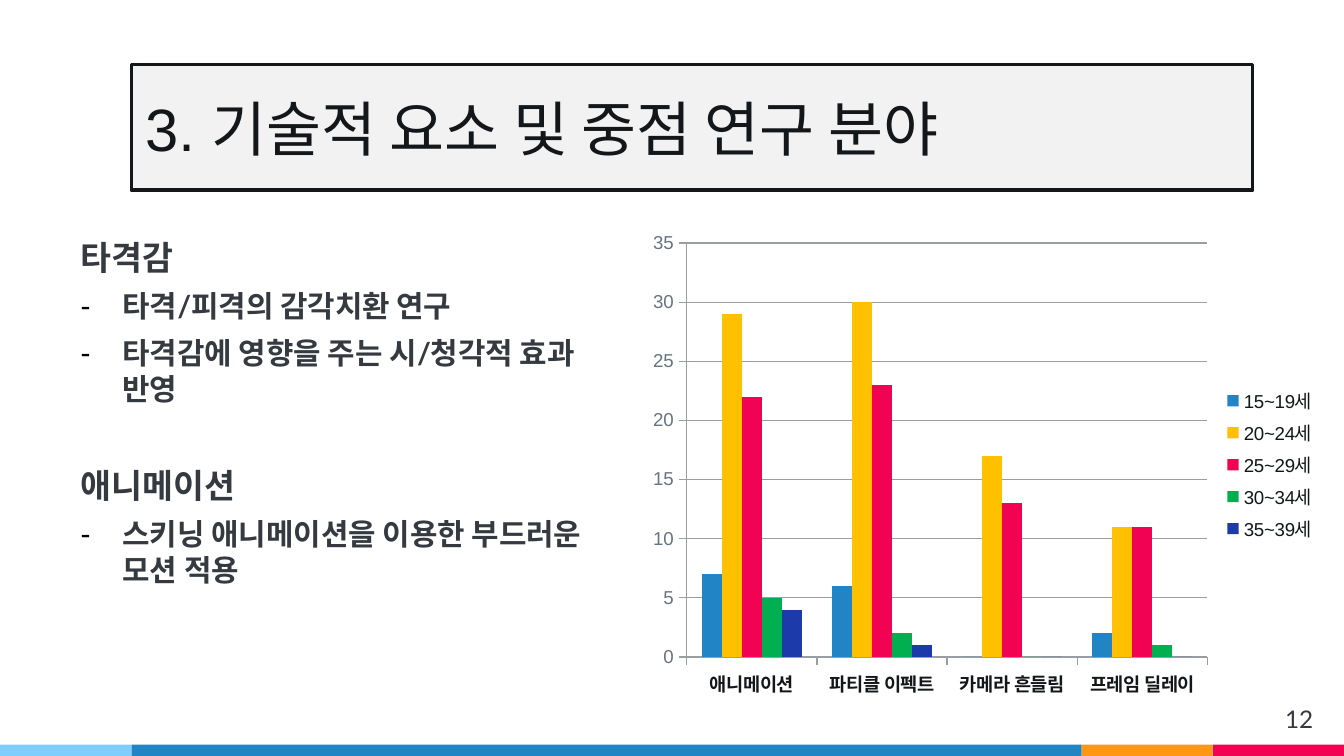
from pptx import Presentation
from pptx.chart.data import CategoryChartData
from pptx.dml.color import RGBColor
from pptx.enum.chart import XL_CHART_TYPE as CT, XL_LEGEND_POSITION as LP, XL_TICK_MARK as TM
from pptx.enum.shapes import MSO_SHAPE
from pptx.enum.text import MSO_ANCHOR, MSO_AUTO_SIZE, PP_ALIGN
from pptx.oxml.ns import qn
from pptx.util import Pt
from lxml.etree import SubElement

W, H = 720, 405
DARK, BODY, MUTED, GRID = "13171A", "343A40", "677480", "9A9EA3"

TITLE = "3. 기술적 요소 및 중점 연구 분야"
SECTIONS = [
    ("타격감", ["타격/피격의 감각치환 연구", "타격감에 영향을 주는 시/청각적 효과 반영"]),
    ("애니메이션", ["스키닝 애니메이션을 이용한 부드러운 모션 적용"]),
]
CATEGORIES = ["애니메이션", "파티클 이펙트", "카메라 흔들림", "프레임 딜레이"]
SERIES = [
    ("15~19세", (7, 6, 0, 2), "2185C5"),
    ("20~24세", (29, 30, 17, 11), "FFC000"),
    ("25~29세", (22, 23, 13, 11), "F20253"),
    ("30~34세", (5, 2, 0, 1), "00B050"),
    ("35~39세", (4, 1, 0, 0), "1C3AA9"),
]
STRIPES = [("7ECEFD", 70.5), ("2185C5", 509), ("FF9715", 70.25), ("F20253", 70.25)]


def rgb(color):
    return RGBColor.from_string(color)


def place(sp, x, y, w, h):
    sp.left, sp.top, sp.width, sp.height = Pt(x), Pt(y), Pt(w), Pt(h)


def set_frame(tf, anchor=MSO_ANCHOR.TOP):
    tf.word_wrap = True
    tf.auto_size = MSO_AUTO_SIZE.NONE
    tf.vertical_anchor = anchor
    tf.margin_left = tf.margin_right = tf.margin_top = tf.margin_bottom = Pt(7.2)


def style(font, size, color, name="Arial", bold=False):
    font.size, font.name, font.bold = Pt(size), name, bold
    font.color.rgb = rgb(color)


def add_run(p, text, size, color, name, bold=False):
    r = p.add_run()
    r.text = text
    style(r.font, size, color, name, bold)


def set_bullet(p, char=None, indent=0):
    """Give the paragraph a hanging bullet, or none when char is missing."""
    pPr = p._p.get_or_add_pPr()
    pPr.set("marL", str(Pt(indent)))
    pPr.set("indent", str(-Pt(indent)))
    if char:
        SubElement(SubElement(pPr, qn("a:buClr")), qn("a:srgbClr"), val="000000")
        SubElement(pPr, qn("a:buChar"), char=char)
    else:
        SubElement(pPr, qn("a:buNone"))


prs = Presentation()
prs.slide_width, prs.slide_height = Pt(W), Pt(H)
s = prs.slides.add_slide(prs.slide_layouts[1])
title, body = s.placeholders

# Stripes along the bottom edge
x = 0
for color, width in STRIPES:
    sp = s.shapes.add_shape(MSO_SHAPE.RECTANGLE, Pt(x), Pt(H - 6), Pt(width), Pt(6))
    sp.shadow.inherit = False
    sp.fill.solid()
    sp.fill.fore_color.rgb = rgb(color)
    sp.line.fill.background()
    x += width

# Title
place(title, 70.5, 34.5, 600.5, 67.5)
title.fill.solid()
title.fill.fore_color.rgb = rgb("F2F2F2")
title.line.color.rgb = rgb(DARK)
title.line.width = Pt(2)
set_frame(title.text_frame, MSO_ANCHOR.MIDDLE)
p = title.text_frame.paragraphs[0]
p.alignment = PP_ALIGN.LEFT
add_run(p, TITLE, 32, DARK, "Arial")

# Headings with their points
place(body, 36, 119.5, 295, 258.5)
tf = body.text_frame
set_frame(tf)
p = tf.paragraphs[0]
for i, (heading, points) in enumerate(SECTIONS):
    if i:
        p = tf.add_paragraph()
    p.space_before = Pt(31 if i else 6)
    set_bullet(p)
    add_run(p, heading, 18, BODY, "Lato", True)
    for point in points:
        p = tf.add_paragraph()
        p.space_before = Pt(6)
        set_bullet(p, "-", 22.5)
        add_run(p, point, 16, BODY, "Lato", True)

# Page number
sp = s.shapes.add_textbox(Pt(667.5), Pt(370), Pt(43), Pt(24.5))
set_frame(sp.text_frame)
p = sp.text_frame.paragraphs[0]
p.alignment = PP_ALIGN.RIGHT
add_run(p, "12", 13, BODY, "Lato")

# Chart
data = CategoryChartData()
data.categories = CATEGORIES
for name, values, _ in SERIES:
    data.add_series(name, values)
chart = s.shapes.add_chart(
    CT.COLUMN_CLUSTERED, Pt(342.5), Pt(119.5), Pt(369.5), Pt(259), data).chart
style(chart.font, 10, MUTED)
chart.has_title = False
chart.has_legend = True
chart.legend.position = LP.RIGHT
chart.legend.include_in_layout = False
style(chart.legend.font, 10, DARK)

plot = chart.plots[0]
plot.gap_width, plot.overlap, plot.vary_by_categories = 150, 0, False
for series, (_, _, color) in zip(plot.series, SERIES):
    series.format.fill.solid()
    series.format.fill.fore_color.rgb = rgb(color)

cat_axis, val_axis = chart.category_axis, chart.value_axis
for axis in (cat_axis, val_axis):
    axis.major_tick_mark = TM.OUTSIDE
    axis.format.line.color.rgb = rgb(GRID)
style(cat_axis.tick_labels.font, 10, DARK, bold=True)
style(val_axis.tick_labels.font, 10, MUTED)
val_axis.minimum_scale, val_axis.maximum_scale, val_axis.major_unit = 0, 35, 5
val_axis.has_major_gridlines = True
val_axis.major_gridlines.format.line.color.rgb = rgb(GRID)

prs.save("out.pptx")
